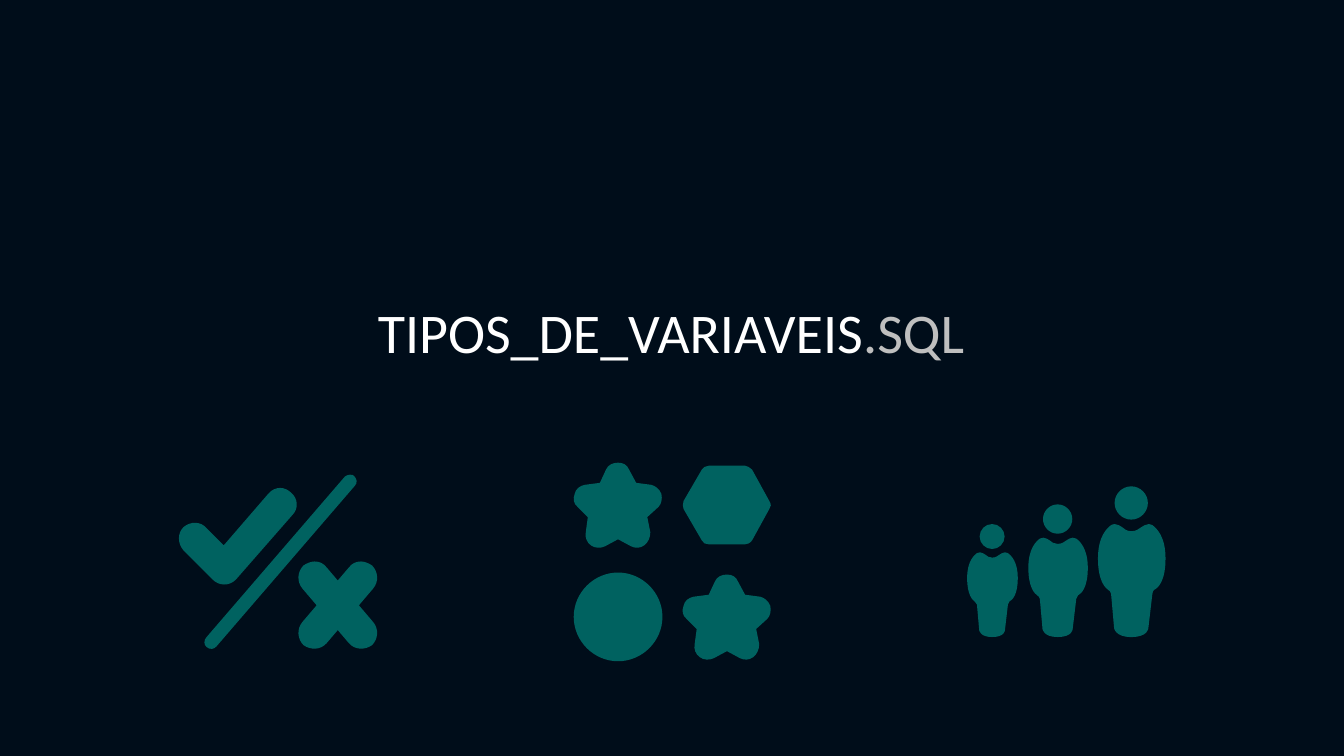
import pptx
import pptx.util
import pptx.dml.color
import pptx.enum.text
import pptx.oxml.ns

PX = 9144
TEAL = "006260"


def paint(color_format, hex_color):
    color_format.rgb = pptx.dml.color.RGBColor.from_string(hex_color)


def draw_outline(icon, outline, anchor=(0, 0), target=(0, 0), scale=(1, 1)):
    points = [
        tuple((t + (p - a) * s) * PX for p, a, t, s in zip(point, anchor, target, scale))
        for segment in outline
        for point in zip(segment[::2], segment[1::2])
    ]
    builder = icon.shapes.build_freeform(*points[0], scale=1.0)
    builder.add_line_segments(points[1:], close=True)
    shape = builder.convert_to_shape()
    steps = iter(shape._element.xpath(".//a:lnTo"))
    for segment in outline[1:]:
        step = next(steps)
        if len(segment) == 6:
            curve = step.makeelement(pptx.oxml.ns.qn("a:cubicBezTo"))
            step.addprevious(curve)
            for control in (step, next(steps), next(steps)):
                curve.append(control[0])
                control.getparent().remove(control)
    shape.shadow.inherit = False
    shape.fill.solid()
    paint(shape.fill.fore_color, TEAL)
    shape.line.fill.background()


check = [
    (278, 484), (274, 484, 269, 486, 266, 490), (222, 541), (205, 524),
    (199, 517, 189, 517, 182, 523), (176, 529, 176, 539, 182, 546), (211, 575),
    (217, 581, 227, 582, 234, 575), (290, 511), (296, 505, 296, 495, 289, 489),
    (286, 486, 282, 484, 278, 484),
]
cross_bar = [
    (358, 557), (353, 557, 349, 559, 346, 563), (300, 617),
    (294, 624, 295, 634, 301, 640), (308, 645, 318, 645, 324, 638), (370, 584),
    (376, 577, 375, 567, 369, 561), (366, 559, 362, 557, 358, 557),
]
slash = [
    (347, 471), (345, 471, 343, 472, 342, 473), (205, 632),
    (202, 635, 202, 640, 205, 642), (208, 645, 213, 644, 215, 641), (352, 482),
    (355, 479, 354, 475, 351, 472), (350, 471, 349, 471, 347, 471),
]
disc = [
    (0, 44), (24, 44, 44, 24, 44, 0), (44, -24, 24, -44, 0, -44),
    (-24, -44, -44, -24, -44, 0), (-44, 24, -24, 44, 0, 44),
]
hexagon = [
    (763, 497), (746, 466), (744, 464, 741, 462, 739, 462), (703, 462),
    (700, 462, 697, 464, 696, 466), (678, 497), (677, 500, 677, 503, 678, 505),
    (696, 536), (697, 539, 700, 540, 703, 540), (739, 540),
    (741, 540, 744, 539, 746, 536), (763, 505), (765, 503, 765, 500, 763, 497),
]
star = [
    (764, 601), (762, 596, 758, 593, 754, 592), (739, 590), (732, 577),
    (730, 572, 726, 570, 721, 570), (716, 570, 711, 572, 709, 577), (703, 590),
    (688, 592), (683, 593, 679, 596, 678, 601), (676, 606, 677, 611, 681, 614),
    (691, 624), (689, 639), (688, 644, 690, 649, 694, 652),
    (698, 655, 704, 655, 708, 653), (721, 646), (734, 653),
    (738, 655, 743, 655, 747, 652), (751, 649, 753, 644, 753, 639), (750, 624),
    (761, 614), (764, 611, 765, 606, 764, 601),
]
body = [
    (1143, 521), (1141, 520, 1140, 520, 1139, 520), (1136, 520, 1134, 522, 1132, 523),
    (1129, 525, 1127, 527, 1122, 527), (1118, 527, 1115, 525, 1113, 523),
    (1111, 522, 1109, 520, 1106, 520), (1105, 520, 1103, 520, 1102, 521),
    (1098, 524, 1089, 532, 1089, 554), (1089, 576, 1096, 583, 1099, 585),
    (1101, 586, 1101, 587, 1102, 589), (1105, 623), (1105, 623, 1106, 632, 1122, 632),
    (1139, 632, 1139, 623, 1139, 623), (1143, 589), (1143, 587, 1144, 586, 1145, 585),
    (1149, 583, 1156, 576, 1156, 554), (1156, 532, 1147, 524, 1143, 521),
]

deck = pptx.Presentation()
deck.slide_width = 1333 * PX
deck.slide_height = 750 * PX
slide = deck.slides.add_slide(deck.slide_layouts[6])
slide.background.fill.solid()
paint(slide.background.fill.fore_color, "000D1A")

title = slide.shapes.add_textbox(*(n * PX for n in (141, 221, 1049, 204))).text_frame
title.word_wrap = True
title.vertical_anchor = pptx.enum.text.MSO_ANCHOR.MIDDLE
title_line = title.paragraphs[0]
title_line.alignment = pptx.enum.text.PP_ALIGN.CENTER
title_format = {"name": "Calibri", "size": pptx.util.Pt(50)}
for wording, hex_color in (("tipos_de_variaveis", "FFFFFF"), (".sql", "BFBFBF")):
    run = title_line.add_run()
    run.text = wording
    for attribute, value in title_format.items():
        setattr(run.font, attribute, value)
    paint(run.font.color, hex_color)
    run.font._element.set("cap", "small")

true_false = slide.shapes.add_group_shape()
draw_outline(true_false, check)
for direction in (1, -1):
    draw_outline(true_false, cross_bar, (335, 0), (335, 0), (direction, 1))
draw_outline(true_false, slash)

categories = slide.shapes.add_group_shape()
draw_outline(categories, disc, target=(613, 612))
draw_outline(categories, hexagon)
for shift in ((0, 0), (-108, -111)):
    draw_outline(categories, star, target=shift)

people = slide.shapes.add_group_shape()
BASELINE = 632
for center, size in ((984, 0.75), (1049, 0.88), (1122, 1)):
    head_scale = 16.5 / 44 * size
    head_center = (center, BASELINE - 133 * size)
    draw_outline(people, disc, target=head_center, scale=(head_scale, head_scale))
    draw_outline(people, body, (1122, BASELINE), (center, BASELINE), (size, size))

deck.save("out.pptx")
